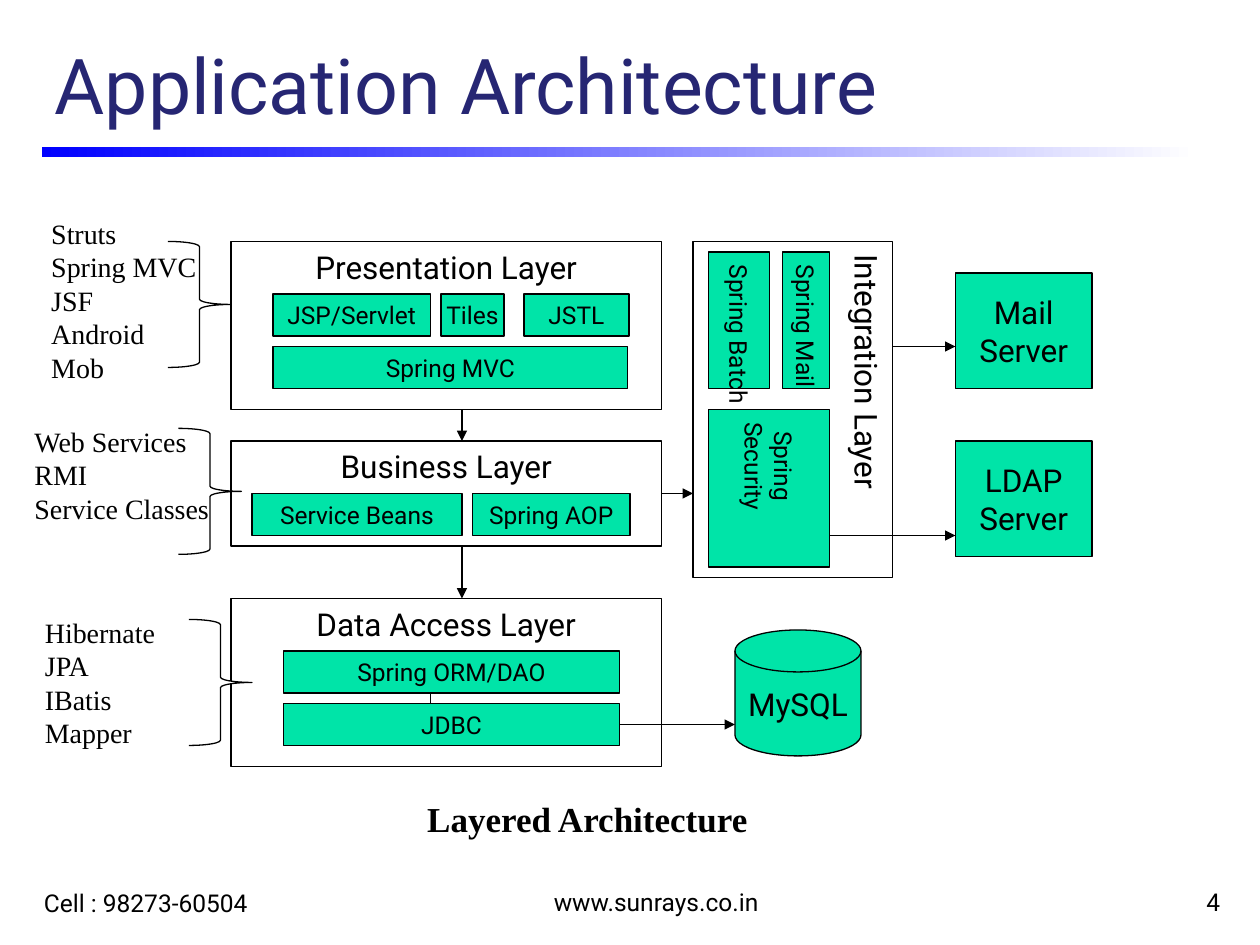
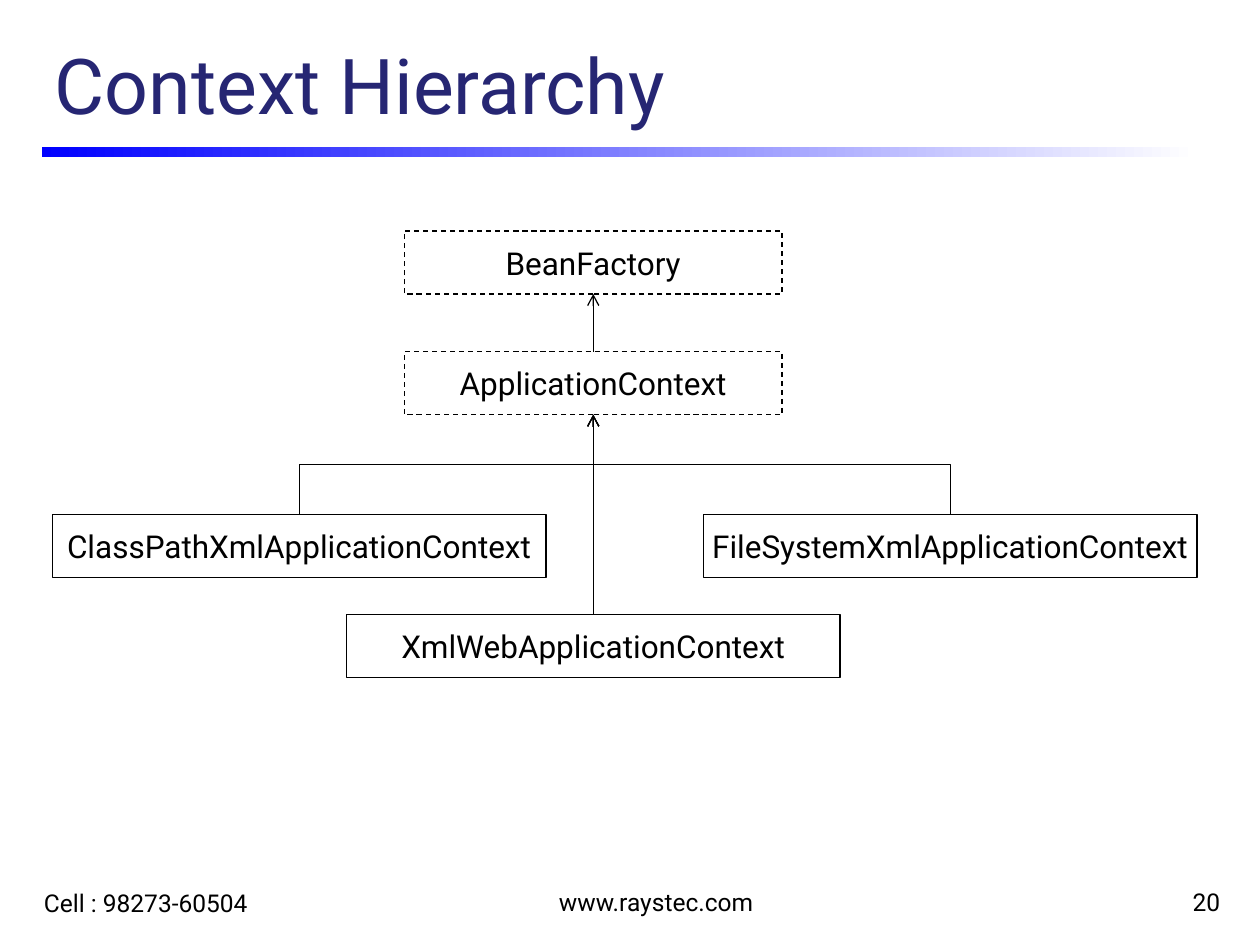
import pptx
import pptx.util
import pptx.dml.color
import pptx.enum.dml
import pptx.enum.shapes
import pptx.enum.text
import pptx.oxml
import pptx.oxml.ns

UNIT = pptx.util.Inches(1) / 12  # grid: 120 columns by 90 rows
BLACK, WHITE, GREEN, NAVY, BLUE = "000000", "FFFFFF", "00E4A8", "262673", "0000FF"
SANS, SERIF = "Roboto", "Times New Roman"
FORM = pptx.enum.shapes.MSO_SHAPE
LINK = pptx.enum.shapes.MSO_CONNECTOR
SIDE = pptx.enum.text.PP_ALIGN
ANCHOR = pptx.enum.text.MSO_ANCHOR
FIT = pptx.enum.text.MSO_AUTO_SIZE
TOP, LEFT, BOTTOM, RIGHT = range(4)

# Labels and their places (column, row, width, height) inside each layer
LAYERS = {
    "Presentation Layer": ((22, 23, 41, 16), {
        "JSP/Servlet": (4, 5, 15, 4),
        "Tiles": (20, 5, 6, 4),
        "JSTL": (27.9, 5, 10, 4),
        "Spring MVC": (4, 10, 33.8, 4)}),
    "Business Layer": ((22, 42, 41, 10), {
        "Service Beans": (2, 5, 20, 4),
        "Spring AOP": (23, 5, 15, 4)}),
    "Data Access Layer": ((22, 57, 41, 16), {
        "Spring ORM/DAO": (5, 5, 32, 4),
        "JDBC": (5, 10, 32, 4)}),
    "Integration Layer": ((66, 23, 19, 32), {
        "Spring Batch": (1.5, 1, 5.8, 13),
        "Spring Mail": (8.5, 1, 4.5, 13),
        "Spring\nSecurity": (1.5, 16, 11.5, 15)}),
}
SERVERS = {
    "Mail\nServer": (FORM.RECTANGLE, (91, 26, 13, 11)),
    "LDAP\nServer": (FORM.RECTANGLE, (91, 42, 13, 11)),
    "MySQL": (FORM.FLOWCHART_MAGNETIC_DISK, (70, 60, 12, 12)),
}
# Brace corner, then the box and lines of its list
TOOLS = [
    ((16, 23), (3.7, 20, 16.2, 17.3), "Struts\nSpring MVC\nJSF\nAndroid\nMob"),
    ((17, 40.8), (2.1, 39.8, 19, 10.8), "Web Services\nRMI\nService Classes"),
    ((18, 59), (3.1, 58, 12.8, 14), "Hibernate\nJPA\nIBatis\nMapper"),
]


def grid(*cells):
    return [round(cell * UNIT) for cell in cells]


def color(code):
    return pptx.dml.color.RGBColor.from_string(code)


def apply(item, values):
    for name, value in values.items():
        setattr(item, name, value)


def write(shape, text, size, font=SANS, ink=BLACK, align=SIDE.LEFT, bold=None, **frame):
    """Fill a shape with lines of text; frame holds text frame settings."""
    apply(shape.text_frame, {"text": text, "auto_size": FIT.NONE, **frame})
    for para in shape.text_frame.paragraphs:
        para.alignment = align
        for run in para.runs:
            apply(run.font, {"name": font, "size": pptx.util.Pt(size), "bold": bold})
            run.font.color.rgb = color(ink)


def label(slide, box, text, size, **style):
    shape = slide.shapes.add_textbox(*grid(*box))
    write(shape, text, size, **style)


def stroke(line, dash=None):
    line.color.rgb = color(BLACK)
    apply(line, {"width": pptx.util.Pt(0.75), "dash_style": dash})


def block(slide, box, text="", size=14, fill=None, form=FORM.RECTANGLE,
          dash=None, turned=False, anchor=ANCHOR.MIDDLE):
    shape = slide.shapes.add_shape(form, *grid(*box))
    shape.shadow.inherit = False
    if fill:
        shape.fill.solid()
        shape.fill.fore_color.rgb = color(fill)
    else:
        shape.fill.background()
    stroke(shape.line, dash)
    if text:
        write(shape, text, size, align=SIDE.CENTER, word_wrap=False, vertical_anchor=anchor)
    if turned:
        shape.element.txBody.bodyPr.set("vert", "eaVert")
        pads = dict(zip(("left", "top", "right", "bottom"), (0.05, 0.1, 0.05, 0.1)))
        apply(shape.text_frame, {f"margin_{side}": pptx.util.Inches(pad)
                                 for side, pad in pads.items()})
    return shape


def link(slide, start=(0, 0), end=(0, 0), head="triangle", source=None, target=None,
         kind=LINK.STRAIGHT):
    """Join two grid points; source and target are (shape, side) joints."""
    line = slide.shapes.add_connector(kind, *grid(*start, *end))
    if source:
        line.begin_connect(*source)
    if target:
        line.end_connect(*target)
    stroke(line.line)
    props = line.element.spPr
    if head:
        tail = pptx.oxml.parse_xml(
            f'<a:tailEnd {pptx.oxml.ns.nsdecls("a")} type="{head}"/>')
        line.line._get_or_add_ln().append(tail)
    props.append(pptx.oxml.parse_xml(f'<a:effectLst {pptx.oxml.ns.nsdecls("a")}/>'))
    return line


def climb(slide, child, parent):
    """Draw an elbow that leaves the child's top and enters the parent's bottom."""
    line = link(slide, head="arrow", source=(child, TOP), target=(parent, BOTTOM),
                kind=LINK.ELBOW)
    east = line.end_x > line.begin_x
    mid_x, mid_y = (line.begin_x + line.end_x) // 2, (line.begin_y + line.end_y) // 2
    rise, run = line.height, line.width
    apply(line, {"left": mid_x - rise // 2, "top": mid_y - run // 2,
                 "width": rise, "height": run})
    frame = line.element.spPr.find(pptx.oxml.ns.qn("a:xfrm"))
    turn = 90 if east else 270
    for key, value in {"rot": turn * 60000, "flipH": int(east), "flipV": 1}.items():
        frame.set(key, str(value))


def rule(slide, box):
    bar = slide.shapes.add_shape(FORM.RECTANGLE, *grid(*box))
    bar.shadow.inherit = False
    bar.line.fill.background()
    bar.fill.gradient()
    bar.fill.gradient_angle = 0
    for stop, (place, code) in zip(bar.fill.gradient_stops, ((0, BLUE), (1, WHITE))):
        stop.position = place
        stop.color.rgb = color(code)


def start(deck, title, site, number):
    """Add a slide with the shared title, rule and footer."""
    slide = deck.slides.add_slide(deck.slide_layouts[5])
    rule(slide, (4, 14, 110, 1))
    head = slide.shapes.title
    apply(head, dict(zip(("left", "top", "width", "height"), grid(4, 2.8, 113.4, 10.2))))
    write(head, title, 44, ink=NAVY, vertical_anchor=ANCHOR.BOTTOM)
    feet = [((3, 85, 25, 3), "Cell : 98273-60504", SIDE.LEFT),
            ((32, 85, 61, 2.9), site, SIDE.CENTER),
            ((96, 85, 21.4, 2.9), number, SIDE.RIGHT)]
    for box, text, align in feet:
        label(slide, box, text, 14, align=align, word_wrap=True,
              vertical_anchor=ANCHOR.BOTTOM)
    return slide


def layer(slide, box, name, parts):
    """Draw a layer and its parts; a tall layer has turned text."""
    left, top, width, height = box
    turned = height > width
    shapes = {name: block(slide, box, name, 18, turned=turned, anchor=ANCHOR.TOP)}
    for text, (col, row, *size) in parts.items():
        shapes[text] = block(slide, (left + col, top + row, *size), text,
                             fill=GREEN, turned=turned)
    return shapes


def tools(slide, corner, box, text):
    block(slide, (*corner, 6, 12), fill=WHITE, form=FORM.RIGHT_BRACE)
    label(slide, box, text, 16, font=SERIF, word_wrap=False)


def layered(deck):
    slide = start(deck, "Application Architecture", "www.sunrays.co.in", "4")
    shapes = {}
    for name, (box, parts) in LAYERS.items():
        shapes.update(layer(slide, box, name, parts))
    for text, (form, box) in SERVERS.items():
        block(slide, box, text, 18, fill=GREEN, form=form)
    for begin, end in [((44, 39), (44, 42)), ((44, 52), (44, 57)),
                       ((85, 33), (91, 33)), ((79, 51), (91, 51))]:
        link(slide, begin, end)
    link(slide, (41, 66), (41, 67), head=None)
    link(slide, end=(66, 47), source=(shapes["Business Layer"], RIGHT))
    link(slide, end=(70, 69), source=(shapes["JDBC"], RIGHT))
    for group in TOOLS:
        tools(slide, *group)
    label(slide, (39.5, 75.4, 35.4, 5.3), "Layered Architecture", 20, font=SERIF,
          bold=True, word_wrap=True)


def tree(deck):
    slide = start(deck, "Context Hierarchy", "www.raystec.com", "20")
    dash = pptx.enum.dml.MSO_LINE.DASH
    root, base = [block(slide, (38.5, row, 36, 6), text, 18, dash=dash)
                  for text, row in (("BeanFactory", 22), ("ApplicationContext", 33.5))]
    west, east, web = [
        block(slide, (col, row, 47, 6), f"{kind}ApplicationContext", 18)
        for kind, col, row in (("ClassPathXml", 5, 49), ("FileSystemXml", 67, 49),
                               ("XmlWeb", 33, 58.5))]
    for child in (west, east):
        climb(slide, child, base)
    for child, parent in ((web, base), (base, root)):
        link(slide, head="arrow", source=(child, TOP), target=(parent, BOTTOM))


def main():
    deck = pptx.Presentation()
    apply(deck, dict(zip(("slide_width", "slide_height"), grid(120, 90))))
    layered(deck)
    tree(deck)
    deck.save("out.pptx")


if __name__ == "__main__":
    main()
